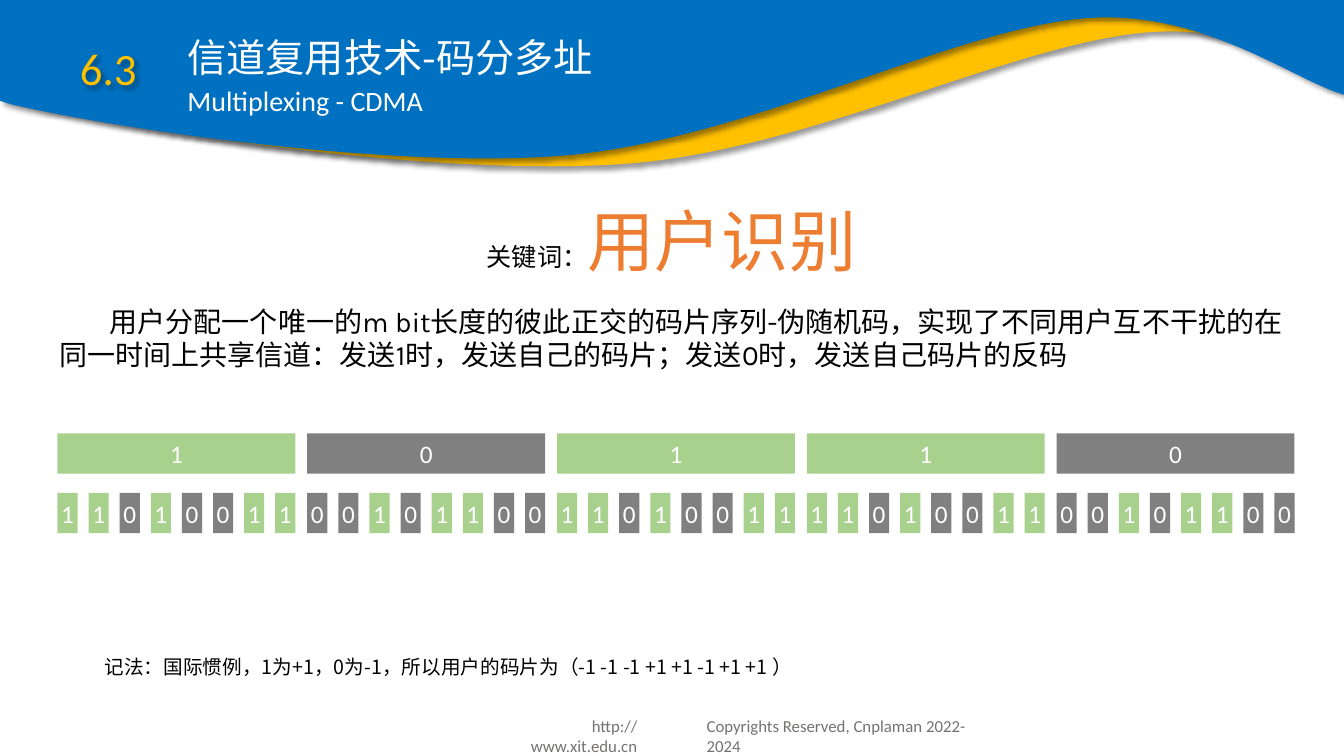
from lxml import etree
from pptx import Presentation
from pptx.dml.color import RGBColor
from pptx.enum.shapes import MSO_SHAPE
from pptx.enum.text import MSO_ANCHOR, MSO_AUTO_SIZE, PP_ALIGN
from pptx.oxml.ns import qn
from pptx.util import Inches, Pt

RECTANGLE = MSO_SHAPE.RECTANGLE
TOP, MIDDLE = MSO_ANCHOR.TOP, MSO_ANCHOR.MIDDLE
LEFT, CENTER, RIGHT = PP_ALIGN.LEFT, PP_ALIGN.CENTER, PP_ALIGN.RIGHT
GROW = MSO_AUTO_SIZE.SHAPE_TO_FIT_TEXT

WHITE = RGBColor(0xFF, 0xFF, 0xFF)
BLACK = RGBColor(0x00, 0x00, 0x00)
BLUE = RGBColor(0x00, 0x70, 0xC0)
GOLD = RGBColor(0xFF, 0xC0, 0x00)
ORANGE = RGBColor(0xED, 0x7D, 0x31)
GREEN = RGBColor(0xA9, 0xD1, 0x8E)
GRAY = RGBColor(0x80, 0x80, 0x80)
FOOTER_GRAY = RGBColor(0x76, 0x71, 0x71)

LATIN, CHINESE, KEYWORD, BODY = "Calibri", "Noto Sans CJK SC", "Noto Sans CJK JP", "Karla"

# Waves: two numbers are a line end, six are a cubic curve
GOLD_WAVE = [
    (0.22, 0), (13.33, 0), (13.33, 0.78), (13.13, 0.68),
    (12.66, 0.48, 12.08, 0.27, 11.41, 0.32),
    (10.07, 0.41, 7.98, 1.52, 6.13, 1.63),
    (4.28, 1.75, 1.29, 1.3, 0.32, 1.03),
    (0.25, 1.01, 0.19, 0.99, 0.13, 0.97),
    (0, 0.93), (0, 0.02),
]
BLUE_WAVE = [
    (0, 0), (13.33, 0), (13.33, 0.94), (13.24, 0.91),
    (12.71, 0.71, 11.87, 0.1, 10.78, 0.18),
    (9.43, 0.28, 7.34, 1.43, 5.5, 1.55),
    (3.88, 1.66, 1.39, 1.32, 0.13, 1.04),
    (0, 1),
]

# Data bits and the chip sequence that spreads them
DATA_BITS = "10110"
CHIPS = "11010011"
INVERTED_CHIPS = CHIPS.translate(str.maketrans("01", "10"))
BIT_COLORS = {"1": GREEN, "0": GRAY}
ROW_LEFT, ROW_RIGHT = 0.57, 12.84
BIT_TOP, CHIP_TOP, BAR_HEIGHT = 4.3, 4.89, 0.4
BIT_WIDTH, CHIP_WIDTH = 2.36, 0.2


def apply_format(target, values):
    for name, value in values.items():
        setattr(target, name, value)


def add_shadow(shape):
    shape.shadow.inherit = False
    effects = shape.element.spPr.find(qn("a:effectLst"))
    shadow = etree.SubElement(effects, qn("a:outerShdw"), blurRad=str(Pt(4)),
                              dist=str(Pt(3)), dir="2700000", algn="tl", rotWithShape="0")
    color = etree.SubElement(shadow, qn("a:srgbClr"), val=str(BLACK))
    etree.SubElement(color, qn("a:alpha"), val="40000")


def add_span(para, text, size, color, font=LATIN):
    span = para.add_run()
    span.text = text
    apply_format(span.font, {"size": Pt(size), "name": font})
    span.font.color.rgb = color
    if font != LATIN:
        east_asian = etree.Element(qn("a:ea"), typeface=CHINESE if font == BODY else font)
        span.font._element.find(qn("a:latin")).addnext(east_asian)


def fill_text(box, spans, align=LEFT, anchor=TOP, wrap=True):
    frame = box.text_frame
    apply_format(frame, {"word_wrap": wrap, "auto_size": GROW, "vertical_anchor": anchor})
    para = frame.paragraphs[0]
    para.alignment = align
    for span in spans:
        add_span(para, *span)
    return para


def add_text(slide, bounds, spans, **layout):
    box = slide.shapes.add_textbox(*map(Inches, bounds))
    return box, fill_text(box, spans, **layout)


def paint(shape, color):
    shape.shadow.inherit = False
    shape.fill.solid()
    shape.fill.fore_color.rgb = color
    shape.line.fill.background()


def bend(line, numbers):
    """Turn a straight segment into a cubic curve."""
    curve = etree.Element(qn("a:cubicBezTo"))
    for x, y in zip(numbers[::2], numbers[1::2]):
        etree.SubElement(curve, qn("a:pt"), x=str(Inches(x)), y=str(Inches(y)))
    line.getparent().replace(line, curve)


def add_wave(slide, segments, color):
    points = [tuple(map(Inches, segment[-2:])) for segment in segments]
    builder = slide.shapes.build_freeform(*points[0])
    builder.add_line_segments(points[1:], close=True)
    wave = builder.convert_to_shape()
    lines = list(wave.element.iter(qn("a:lnTo")))
    for line, segment in zip(lines, segments[1:]):
        if len(segment) == 6:
            bend(line, segment)
    paint(wave, color)
    add_shadow(wave)


def add_bar(slide, left, top, width, digit):
    bar = slide.shapes.add_shape(RECTANGLE, Inches(left), Inches(top),
                                 Inches(width), Inches(BAR_HEIGHT))
    paint(bar, BIT_COLORS[digit])
    frame = bar.text_frame
    apply_format(frame, {"margin_left": 0, "margin_right": 0, "vertical_anchor": MIDDLE})
    para = frame.paragraphs[0]
    para.alignment = CENTER
    add_span(para, digit, 18, WHITE)


def add_row(slide, digits, left, right, top, width):
    pitch = (right - left - width) / (len(digits) - 1)
    lefts = [left + index * pitch for index in range(len(digits))]
    for bar_left, digit in zip(lefts, digits):
        add_bar(slide, bar_left, top, width, digit)
    return lefts


def add_header(slide):
    add_wave(slide, GOLD_WAVE, GOLD)
    add_wave(slide, BLUE_WAVE, BLUE)
    title = slide.shapes.title
    title.element.getparent().append(title.element)  # in front of the waves
    bounds = map(Inches, (1.76, 0.28, 6.66, 0.57))
    apply_format(title, dict(zip(("left", "top", "width", "height"), bounds)))
    fill_text(title, [("信道复用技术-码分多址", 28, WHITE, CHINESE)])
    add_text(slide, (1.76, 0.78, 5.98, 0.44), [("Multiplexing - CDMA", 20, WHITE)])
    number_box, number = add_text(slide, (0.57, 0.41, 1.01, 0.59), [("6.3", 32, GOLD)],
                                  align=CENTER, anchor=MIDDLE)
    number.line_spacing = 0.9
    add_shadow(number_box)


def add_explanation(slide):
    _, keyword = add_text(slide, (4.71, 1.93, 3.9, 0.91),
                          [("关键词：", 18, BLACK, CHINESE), ("用户识别", 48, ORANGE, KEYWORD)],
                          align=CENTER, wrap=False)
    keyword.space_after = Pt(6)
    _, body = add_text(slide, (0.49, 2.97, 12.35, 0.77), [(
        "用户分配一个唯一的m bit长度的彼此正交的码片序列-伪随机码，"
        "实现了不同用户互不干扰的在同一时间上共享信道：发送1时，发送自己的码片；"
        "发送0时，发送自己码片的反码", 20, BLACK, BODY)])
    body._p.get_or_add_pPr().set("indent", str(Inches(0.5)))
    add_text(slide, (0.94, 6.45, 7.04, 0.34), [(
        "记法：国际惯例，1为+1，0为-1，所以用户的码片为（-1 -1 -1 +1 +1 -1 +1 +1 ）",
        14, BLACK, CHINESE)])


def main():
    deck = Presentation()
    deck.slide_width, deck.slide_height = Inches(13.33), Inches(7.5)
    slide = deck.slides.add_slide(deck.slide_layouts[5])

    # Footer
    add_text(slide, (6.91, 7.05, 2.88, 0.3),
             [("Copyrights Reserved, Cnplaman 2022-2024", 12, FOOTER_GRAY)])
    add_text(slide, (4.85, 7.05, 1.57, 0.3),
             [("http://www.xit.edu.cn", 12, FOOTER_GRAY)], align=RIGHT)

    add_header(slide)
    add_explanation(slide)

    # Each data bit above its chips
    bit_lefts = add_row(slide, DATA_BITS, ROW_LEFT, ROW_RIGHT, BIT_TOP, BIT_WIDTH)
    for left, bit in zip(bit_lefts, DATA_BITS):
        chips = CHIPS if bit == "1" else INVERTED_CHIPS
        add_row(slide, chips, left, left + BIT_WIDTH, CHIP_TOP, CHIP_WIDTH)

    deck.save("out.pptx")


if __name__ == "__main__":
    main()
